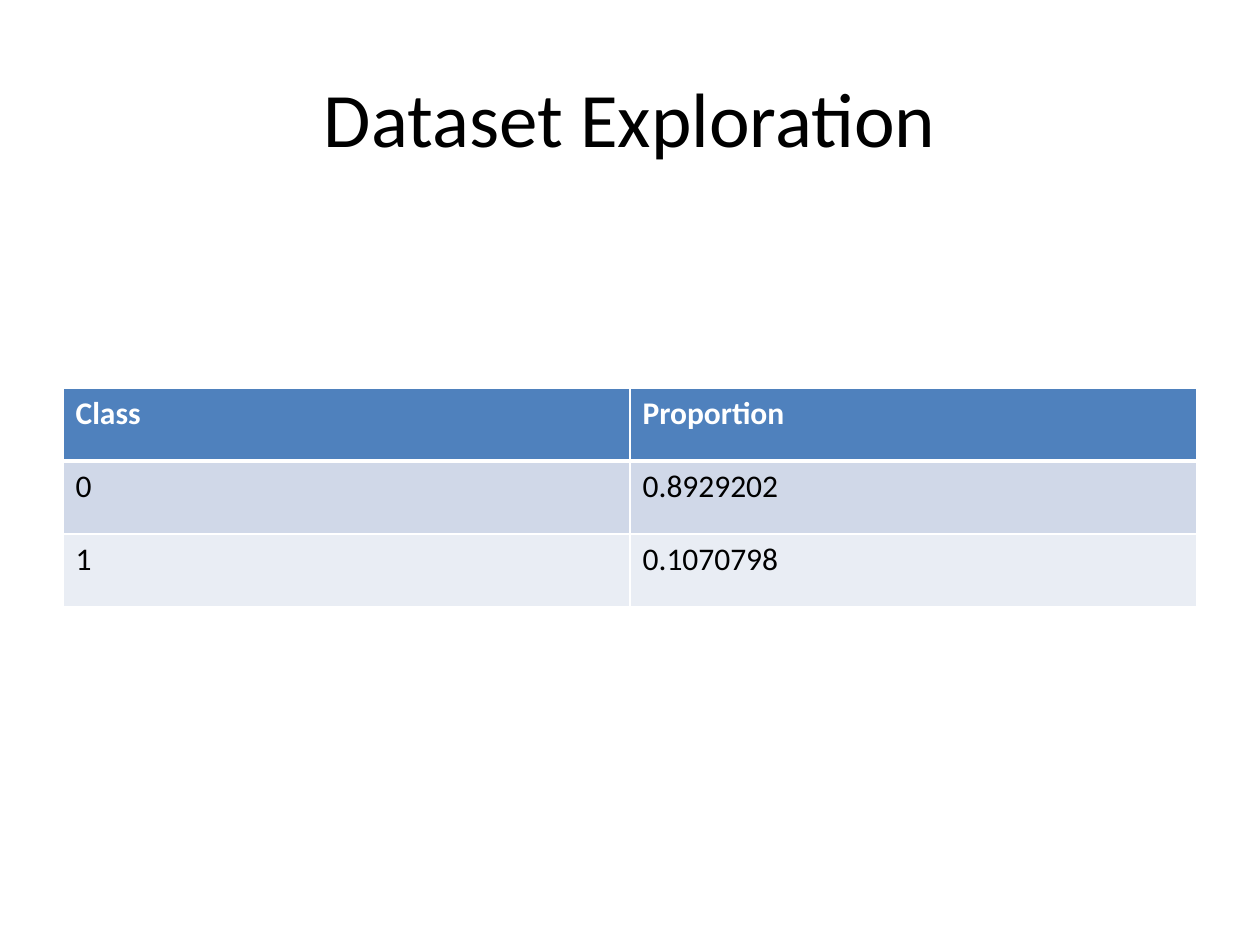
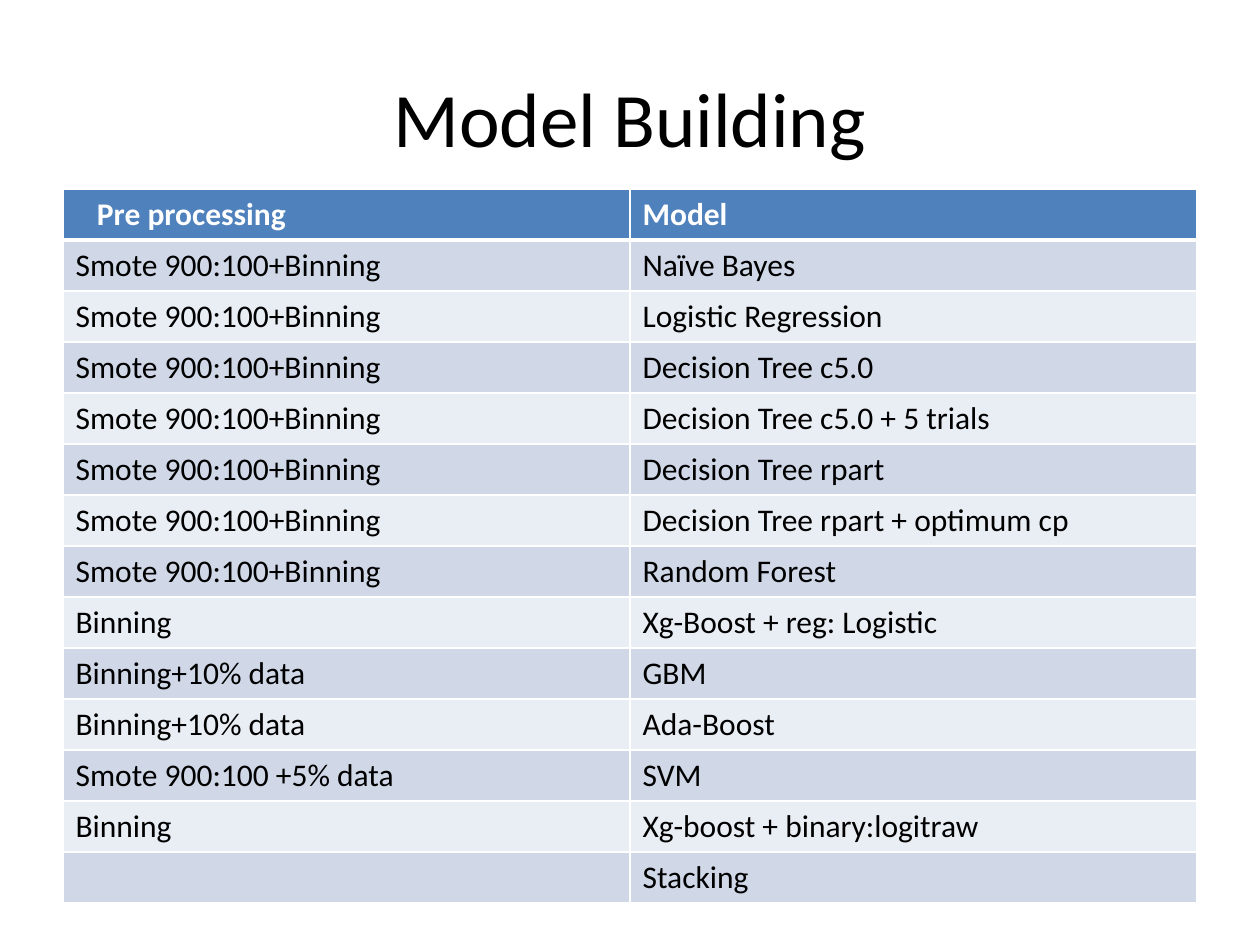
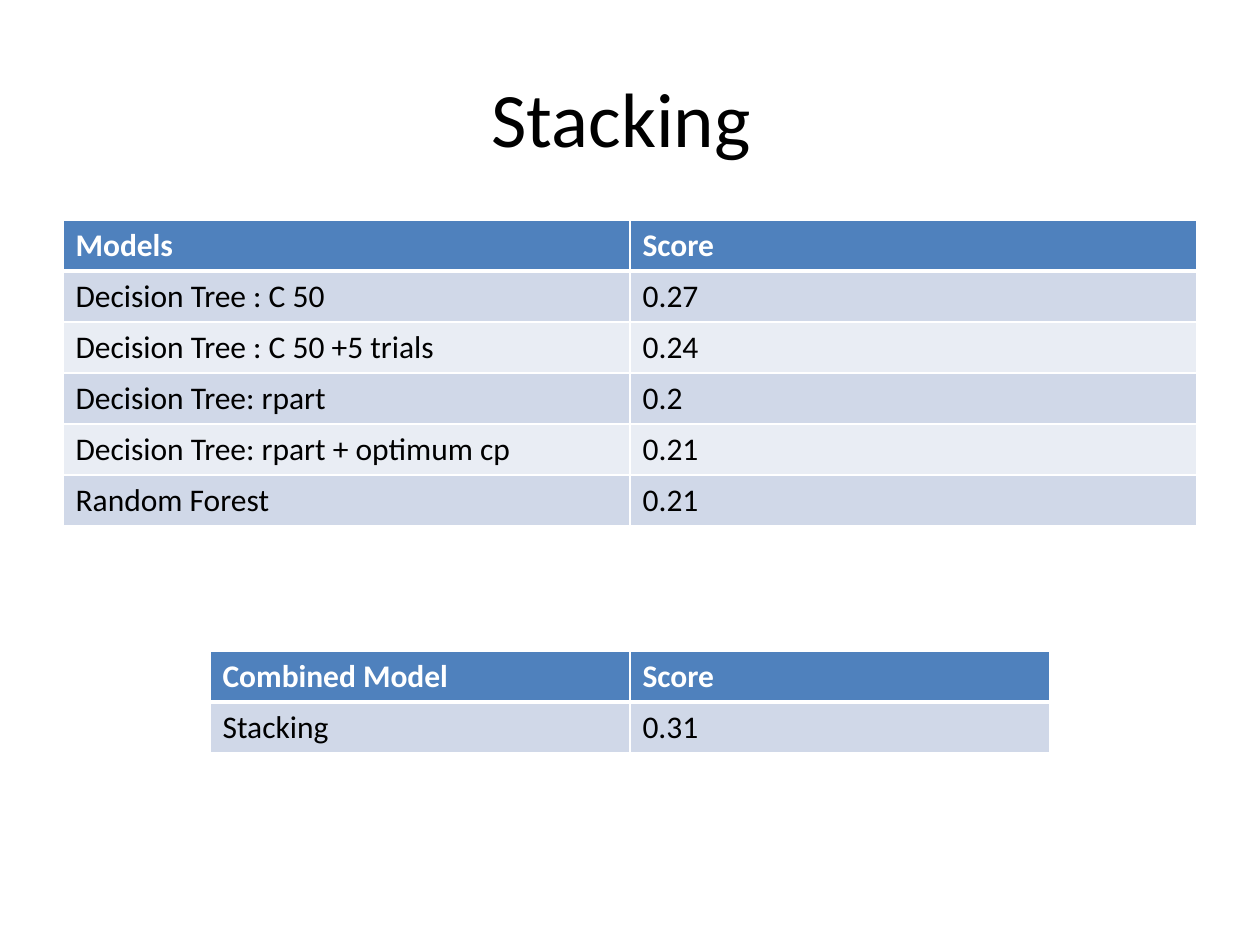
import pptx
import pptx.dml.color
import pptx.enum.text
import pptx.oxml
import pptx.oxml.ns
import pptx.util

# Content: each slide has a title and its tables (top, width, row height, rows)
SMOTE = "Smote 900:100+Binning"
SLIDES = [
    ("Dataset Exploration", [
        (388, 1134, 73, [
            ("Class", "Proportion"),
            ("0", "0.8929202"),
            ("1", "0.1070798"),
        ]),
    ]),
    ("Model Building", [
        (189, 1134, 51, [
            ("Pre processing", "Model"),
            (SMOTE, "Naïve Bayes"),
            (SMOTE, "Logistic Regression"),
            (SMOTE, "Decision Tree c5.0"),
            (SMOTE, "Decision Tree c5.0 + 5 trials"),
            (SMOTE, "Decision Tree rpart"),
            (SMOTE, "Decision Tree rpart + optimum cp"),
            (SMOTE, "Random Forest"),
            ("Binning", "Xg-Boost + reg: Logistic"),
            ("Binning+10% data", "GBM"),
            ("Binning+10% data", "Ada-Boost"),
            ("Smote 900:100 +5% data", "SVM"),
            ("Binning", "Xg-boost + binary:logitraw"),
            ("", "Stacking"),
        ]),
    ]),
    ("Stacking ", [
        (220, 1134, 51, [
            ("Models", "Score"),
            ("Decision Tree : C 50", "0.27"),
            ("Decision Tree : C 50 +5 trials", "0.24"),
            ("Decision Tree: rpart", "0.2"),
            ("Decision Tree: rpart + optimum cp", "0.21"),
            ("Random Forest", "0.21"),
        ]),
        (651, 840, 51, [
            ("Combined Model", "Score"),
            ("Stacking", "0.31"),
        ]),
    ]),
]
INDENTS = {"Pre processing": 34}

# Shared style
PAGE_WIDTH, PAGE_HEIGHT = 1260, 945
TITLE_AREA = (63, 38, 1134, 158)
FONT = "Calibri"
BLACK, WHITE = "000000", "FFFFFF"
HEADER, BANDS = "4F81BD", ("E9EDF4", "D0D8E8")
THIN, THICK = 1, 3


def px(length):
    return pptx.util.Emu(length * 914400 // 126)


def color(value):
    return pptx.dml.color.RGBColor.from_string(value)


def style(para, size, ink, bold=False):
    font = para.font
    font.name, font.size, font.bold = FONT, pptx.util.Pt(size), bold
    font.color.rgb = color(ink)


def add_title(page, text):
    box = page.shapes.add_textbox(*map(px, TITLE_AREA))
    frame = box.text_frame
    frame.word_wrap = True
    frame.vertical_anchor = pptx.enum.text.MSO_ANCHOR.MIDDLE
    para = frame.paragraphs[0]
    para.text = text
    para.alignment = pptx.enum.text.PP_ALIGN.CENTER
    style(para, 44, BLACK)


def set_borders(cell, top, bottom):
    """Border lines come before the fill in the cell properties."""
    properties = cell._tc.get_or_add_tcPr()
    widths = {"L": THIN, "R": THIN, "T": top, "B": bottom}
    for position, (side, width) in enumerate(widths.items()):
        line = pptx.oxml.parse_xml(
            f'<a:ln{side} {pptx.oxml.ns.nsdecls("a")} w="{pptx.util.Pt(width)}">'
            f'<a:solidFill><a:srgbClr val="{WHITE}"/></a:solidFill></a:ln{side}>')
        properties.insert(position, line)


def add_grid(page, top, width, row_height, rows):
    columns = len(rows[0])
    area = ((PAGE_WIDTH - width) // 2, top, width, row_height * len(rows))
    table = page.shapes.add_table(len(rows), columns, *map(px, area)).table
    for column in table.columns:
        column.width = px(width // columns)
    for index, texts in enumerate(rows):
        table.rows[index].height = px(row_height)
        is_header = index == 0
        for cell, text in zip(table.rows[index].cells, texts):
            cell.text = text
            if text in INDENTS:
                cell.margin_left = px(INDENTS[text])
            style(cell.text_frame.paragraphs[0], 18,
                  WHITE if is_header else BLACK, is_header)
            cell.fill.solid()
            cell.fill.fore_color.rgb = color(HEADER if is_header else BANDS[index % 2])
            # The rule under the header is shared with the first body row
            set_borders(cell, THICK if index == 1 else THIN,
                        THICK if is_header else THIN)


def main():
    deck = pptx.Presentation()
    deck.slide_width, deck.slide_height = px(PAGE_WIDTH), px(PAGE_HEIGHT)
    for title, tables in SLIDES:
        page = deck.slides.add_slide(deck.slide_layouts[6])
        add_title(page, title)
        for table in tables:
            add_grid(page, *table)
    deck.save("out.pptx")


if __name__ == "__main__":
    main()
